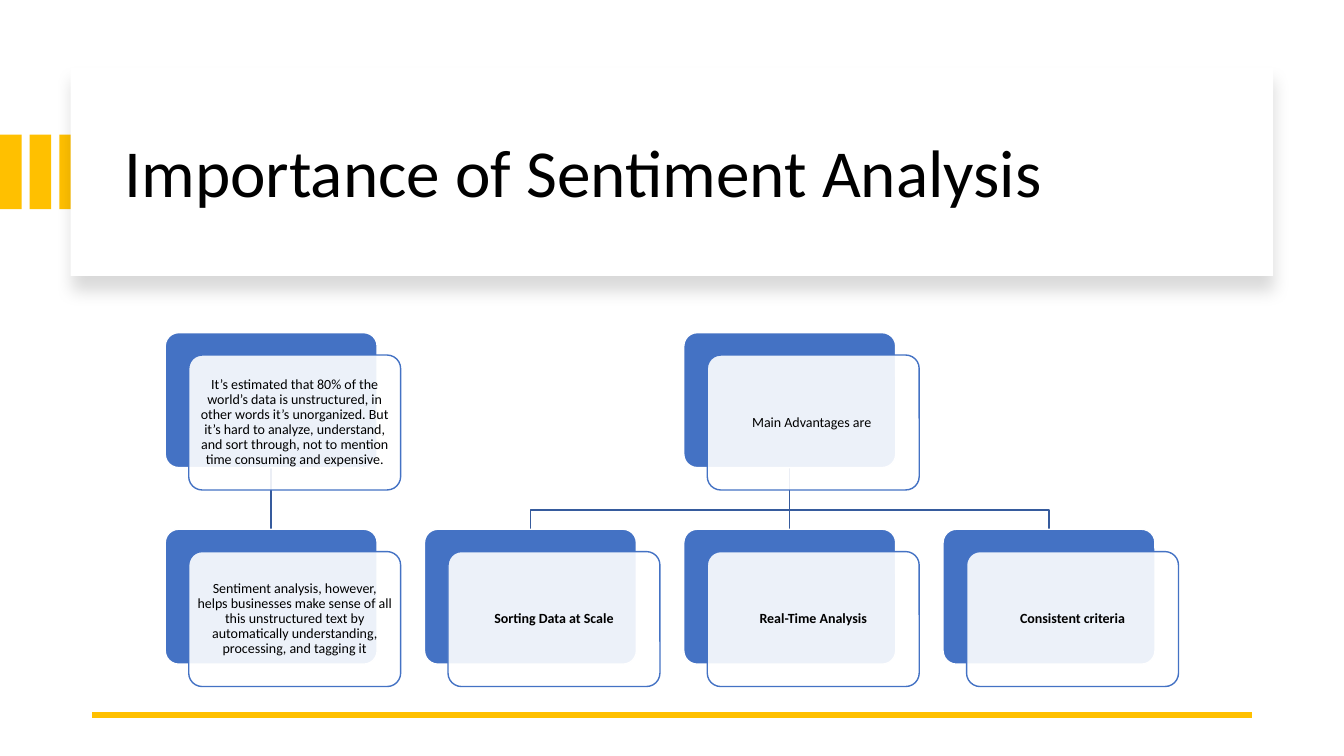
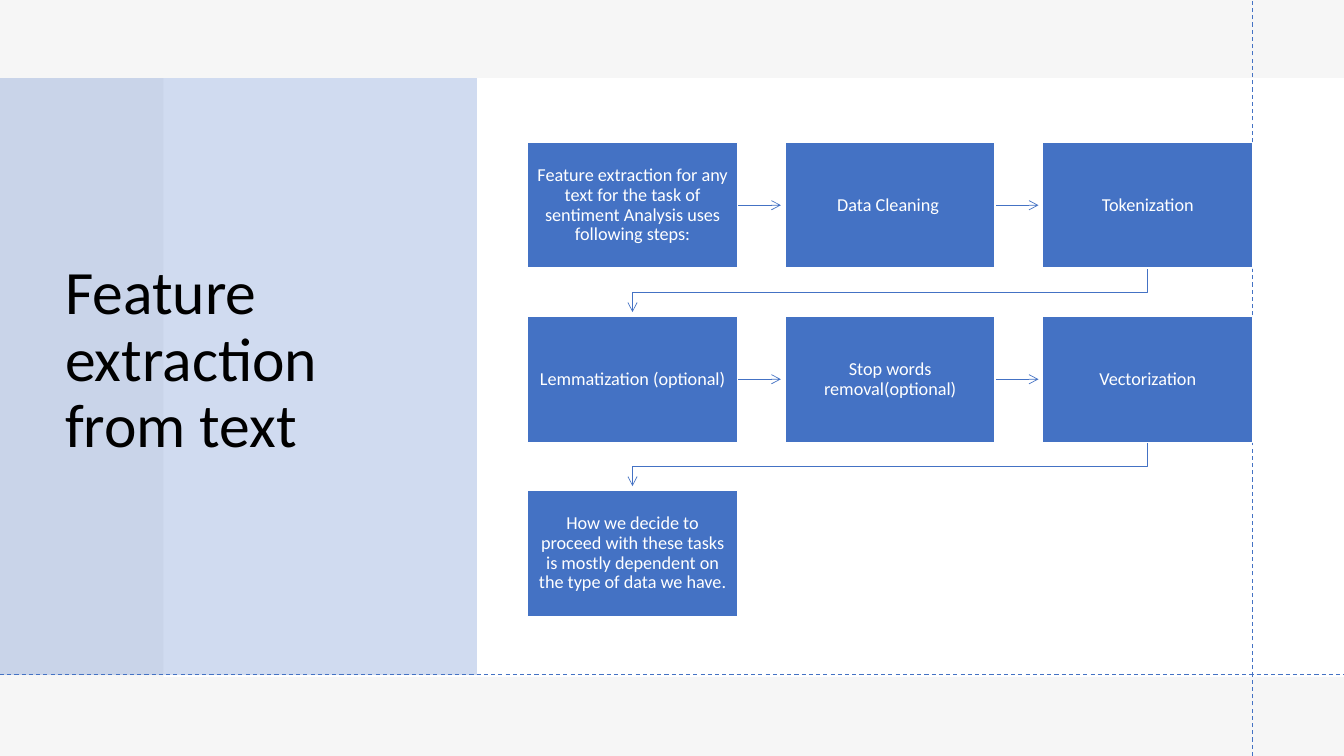
from itertools import product

from lxml.etree import SubElement
from pptx import Presentation
from pptx.dml.color import RGBColor
from pptx.enum.dml import MSO_LINE
from pptx.enum.shapes import MSO_CONNECTOR, MSO_SHAPE
from pptx.enum.text import MSO_ANCHOR, PP_ALIGN
from pptx.oxml.ns import qn
from pptx.util import Pt

WIDTH, HEIGHT = 960, 540
FONT = "Calibri"
BLACK = RGBColor(0x00, 0x00, 0x00)
WHITE = RGBColor(0xFF, 0xFF, 0xFF)
BLUE = RGBColor(0x44, 0x72, 0xC4)
DARK_BLUE = RGBColor(0x36, 0x5B, 0x9D)
GOLD = RGBColor(0xFF, 0xC0, 0x00)
PALE_GREY = RGBColor(0xF6, 0xF6, 0xF6)

TREE_CARDS = [
    (0, 0, "It’s estimated that 80% of the world’s data is unstructured, in other words "
           "it’s unorganized. But it’s hard to analyze, understand, and sort through, "
           "not to mention time consuming and expensive.", False),
    (0, 1, "Sentiment analysis, however, helps businesses make sense of all "
           "this unstructured text by automatically understanding, processing, "
           "and tagging it", False),
    (2, 0, "Main Advantages are ", False),
    (1, 1, "Sorting Data at Scale", True),
    (2, 1, "Real-Time Analysis", True),
    (3, 1, "Consistent criteria", True),
]
TREE_LINKS = [(2, 3), (2, 2), (2, 1), (0, 0)]

STEPS = [
    "Feature extraction for any text for the task of sentiment Analysis uses following steps:",
    "Data Cleaning ",
    "Tokenization",
    "Lemmatization (optional)",
    "Stop words removal(optional)",
    "Vectorization",
    "How we decide to proceed with these tasks is mostly dependent on the type of data we have.",
]


def write(shape, text, size, color=BLACK, bold=False, align=PP_ALIGN.LEFT, margins=(7.2, 3.6)):
    tf = shape.text_frame
    tf.word_wrap = True
    tf.vertical_anchor = MSO_ANCHOR.MIDDLE
    tf.margin_left = tf.margin_right = Pt(margins[0])
    tf.margin_top = tf.margin_bottom = Pt(margins[1])
    p = tf.paragraphs[0]
    p.alignment = align
    p.line_spacing = 0.9
    r = p.add_run()
    r.text = text
    r.font.name = FONT
    r.font.size = Pt(size)
    r.font.bold = bold
    r.font.color.rgb = color


def add_box(s, x, y, w, h, fill, line=None, alpha=None, kind=MSO_SHAPE.RECTANGLE):
    sp = s.shapes.add_shape(kind, Pt(x), Pt(y), Pt(w), Pt(h))
    sp.shadow.inherit = False
    sp.fill.solid()
    sp.fill.fore_color.rgb = fill
    if alpha is not None:
        color = sp.fill._xPr.find(".//" + qn("a:srgbClr"))
        SubElement(color, qn("a:alpha"), val=str(alpha * 1000))
    if line is None:
        sp.line.fill.background()
    else:
        sp.line.color.rgb = line
        sp.line.width = Pt(1)
    return sp


def add_link(s, points, color, width, arrow=False, dash=None):
    pts = [(Pt(x), Pt(y)) for x, y in points]
    if len(pts) == 2:
        sp = s.shapes.add_connector(MSO_CONNECTOR.STRAIGHT, *pts[0], *pts[1])
        SubElement(sp._element.spPr, qn("a:effectLst"))
    else:
        builder = s.shapes.build_freeform(*pts[0])
        builder.add_line_segments(pts[1:], close=False)
        sp = builder.convert_to_shape()
        sp.fill.background()
        sp.shadow.inherit = False
    sp.line.color.rgb = color
    sp.line.width = Pt(width)
    if dash is not None:
        sp.line.dash_style = dash
    if arrow:
        SubElement(sp.line._get_or_add_ln(), qn("a:tailEnd"), type="arrow")


def add_title(s, text, x, y, w, h, size):
    write(s.shapes.add_textbox(Pt(x), Pt(y), Pt(w), Pt(h)), text, size)


def add_soft_shadow(sp):
    effects = sp._element.spPr.find(qn("a:effectLst"))
    shadow = SubElement(effects, qn("a:outerShdw"), blurRad=str(Pt(11)), dist=str(Pt(10)),
                        dir="5400000", algn="t", rotWithShape="0")
    color = SubElement(shadow, qn("a:srgbClr"), val="000000")
    SubElement(color, qn("a:alpha"), val="15000")


def add_banner(s, x, y, w, h, title):
    for i in range(3):
        add_box(s, 21.2 * i, y + 48, 15.4, 53.3, GOLD)
    add_soft_shadow(add_box(s, x, y, w, h, WHITE))
    add_title(s, title, x + 31.7, y + 15.9, w - 57.6, h - 26.6, 48)


def add_tree(s, x, y, w, h):
    card_w, card_h, shift_x, shift_y = 151.4, 96.4, 16.8, 16
    step_x = (w - card_w - shift_x) / 3
    step_y = h - card_h - shift_y
    top, bottom = y + card_h, y + step_y
    for parent, child in TREE_LINKS:
        start, end = (x + col * step_x + card_w / 2 for col in (parent, child))
        bend = [] if parent == child else [(start, top + 30.2), (end, top + 30.2)]
        add_link(s, [(start, top), *bend, (end, bottom)], DARK_BLUE, 1)
    for col, row, text, bold in TREE_CARDS:
        left, upper = x + col * step_x, y + row * step_y
        back = add_box(s, left, upper, card_w, card_h, BLUE, WHITE,
                       kind=MSO_SHAPE.ROUNDED_RECTANGLE)
        front = add_box(s, left + shift_x, upper + shift_y, card_w, card_h, WHITE, BLUE,
                        alpha=90, kind=MSO_SHAPE.ROUNDED_RECTANGLE)
        back.adjustments[0] = front.adjustments[0] = 0.1
        write(front, text, 10, bold=bold, align=PP_ALIGN.CENTER, margins=(2.6, 2.6))


def add_side_panel(s, x, y, w, h, title):
    add_box(s, x + 116.8, y, WIDTH - x - 116.8, h, WHITE)
    add_box(s, x, y, w, h - 1.6, BLUE, alpha=25)
    add_title(s, title, x + 39.4, y - 2.6, 284.4, 409.6, 44)


def add_steps(s, x, y, w, h):
    step_w, step_h, clearance = 150, 90, 3
    step_x, step_y = (w - step_w) / 2, (h - step_h) / 2
    cells = [(x + col * step_x, y + row * step_y) for row, col in product(range(3), range(3))]
    cells = cells[:len(STEPS)]
    for (left, top), (next_left, next_top) in zip(cells, cells[1:]):
        if top == next_top:
            middle = top + step_h / 2
            points = [(left + step_w, middle), (next_left - clearance, middle)]
        else:
            start, end = left + step_w / 2, next_left + step_w / 2
            bend = (top + step_h + next_top) / 2
            points = [(start, top + step_h), (start, bend), (end, bend),
                      (end, next_top - clearance)]
        add_link(s, points, BLUE, 0.5, arrow=True)
    for (left, top), text in zip(cells, STEPS):
        sp = add_box(s, left, top, step_w, step_h, BLUE, WHITE)
        write(sp, text, 13, WHITE, align=PP_ALIGN.CENTER, margins=(7.2, 7.7))


def add_slide(prs, background):
    s = prs.slides.add_slide(prs.slide_layouts[6])
    s.background.fill.solid()
    s.background.fill.fore_color.rgb = background
    return s


def importance_slide(prs):
    s = add_slide(prs, WHITE)
    add_banner(s, 50.4, 48.2, 859, 149, "Importance of Sentiment Analysis")
    add_link(s, [(894.2, 510.5), (66, 510.5)], GOLD, 4.5)
    add_tree(s, 118, 237.6, 723.8, 252.8)


def extraction_slide(prs):
    s = add_slide(prs, PALE_GREY)
    add_side_panel(s, 0, 55.8, 340.7, 427.8, "Feature extraction from text")
    for points in ([(895, HEIGHT), (895, 0)], [(0, 481.7), (WIDTH, 481.7)]):
        add_link(s, points, BLUE, 0.75, dash=MSO_LINE.DASH)
    add_steps(s, 376.8, 101.6, 518, 338.6)


def main():
    prs = Presentation()
    prs.slide_width, prs.slide_height = Pt(WIDTH), Pt(HEIGHT)
    importance_slide(prs)
    extraction_slide(prs)
    prs.save("out.pptx")


if __name__ == "__main__":
    main()
